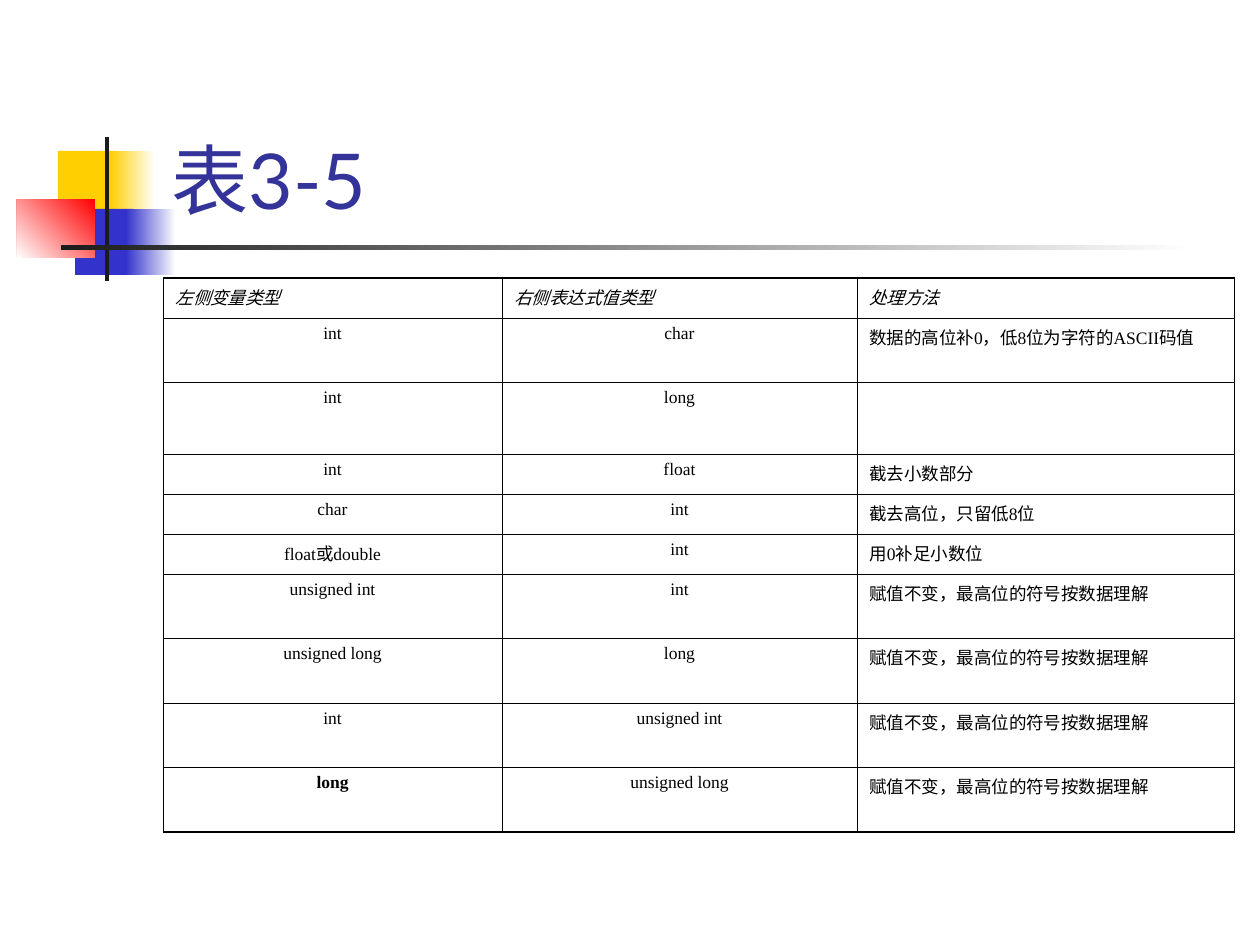
from dataclasses import dataclass

from lxml import etree
from pptx import Presentation
from pptx import util as u
from pptx.dml.color import RGBColor
from pptx.enum import shapes, text
from pptx.oxml import ns

EMU_PER_PX = 914400 / 126


@dataclass(frozen=True)
class Theme:
    yellow: str = "FFCF01"
    blue: str = "3333CC"
    red: str = "FF0000"
    dark: str = "1C1C1C"
    white: str = "FFFFFF"
    ink: str = "000000"
    title: str = "333399"
    title_font: str = "Lato"
    table_font: str = "Times New Roman"
    title_size: int = 44
    table_size: int = 10
    thin: float = 0.34
    medium: float = 0.45
    thick: float = 0.96


THEME = Theme()
HEADER = ("左侧变量类型", "右侧表达式值类型", "处理方法")
UNCHANGED = "赋值不变，最高位的符号按数据理解"
CONVERSIONS = (
    ("int", "char", "数据的高位补0，低8位为字符的ASCII码值"),
    ("int", "long", ""),
    ("int", "float", "截去小数部分"),
    ("char", "int", "截去高位，只留低8位"),
    ("float或double", "int", "用0补足小数位"),
    ("unsigned int", "int", UNCHANGED),
    ("unsigned long", "long", UNCHANGED),
    ("int", "unsigned int", UNCHANGED),
    ("long", "unsigned long", UNCHANGED),
)
COLUMN_WIDTHS = (339, 355, 377)
ROW_HEIGHTS = (40, 64, 72, 40, 40, 40, 64, 65, 64, 65)


def px(length):
    return u.Emu(round(length * EMU_PER_PX))


def write(frame, content, *, font, size, color, align=text.PP_ALIGN.LEFT,
          bold=False, italic=False, hanging=0):
    paragraph = frame.paragraphs[0]
    paragraph.alignment = align
    if hanging:
        properties = paragraph._p.get_or_add_pPr()
        properties.set("marL", str(px(hanging)))
        properties.set("indent", str(-px(hanging)))
    run = paragraph.add_run()
    run.text = content
    run.font.name = font
    run.font.size = u.Pt(size)
    run.font.bold = bold
    run.font.italic = italic
    run.font.color.rgb = RGBColor.from_string(color)


def add_block(slide, box, color, fade_to=None, angle=0):
    block = slide.shapes.add_shape(shapes.MSO_SHAPE.RECTANGLE, *map(px, box))
    block.shadow.inherit = False
    block.line.fill.background()
    if fade_to is None:
        block.fill.solid()
        block.fill.fore_color.rgb = RGBColor.from_string(color)
        return
    block.fill.gradient()
    block.fill.gradient_angle = angle
    for stop, position, shade in zip(block.fill.gradient_stops, (0, 1), (color, fade_to)):
        stop.position = position
        stop.color.rgb = RGBColor.from_string(shade)


def add_emblem(slide, left, top, width, height):
    blocks = (
        ((41, 14, 60, 66), THEME.yellow),
        ((93, 14, 45, 66), THEME.white, THEME.yellow, 180),
        ((58, 72, 58, 66), THEME.blue),
        ((109, 72, 50, 66), THEME.white, THEME.blue, 180),
        ((0, 62, 78, 59), THEME.red, THEME.white, 225),
        ((88, 0, 4, height), THEME.dark),
        ((44, 108, width - 44, 5), THEME.white, THEME.dark, 180),
    )
    for (x, y, w, h), *paint in blocks:
        add_block(slide, (left + x, top + y, w, h), *paint)


def place_title(slide, left, top, width, height):
    title = slide.shapes.title
    title.element.getparent().append(title.element)
    title.left, title.top, title.width, title.height = map(px, (left, top, width, height))
    title.text_frame.word_wrap = True
    title.text_frame.vertical_anchor = text.MSO_ANCHOR.BOTTOM
    write(title.text_frame, "表3-5", font=THEME.title_font,
          size=THEME.title_size, color=THEME.title)


def set_borders(cell, **widths):
    properties = cell._tc.get_or_add_tcPr()
    for index, side in enumerate(("lnL", "lnR", "lnT", "lnB")):
        line = etree.Element(ns.qn(f"a:{side}"), w=str(u.Pt(widths[side])))
        fill = etree.SubElement(line, ns.qn("a:solidFill"))
        etree.SubElement(fill, ns.qn("a:srgbClr"), val=THEME.ink)
        properties.insert(index, line)


def add_conversion_table(slide, left, top):
    rows = (HEADER, *CONVERSIONS)
    last = len(rows) - 1
    frame = slide.shapes.add_table(
        len(rows), len(HEADER),
        *map(px, (left, top, sum(COLUMN_WIDTHS), sum(ROW_HEIGHTS))))
    table = frame.table
    table.first_row = table.horz_banding = False
    for column, width in zip(table.columns, COLUMN_WIDTHS):
        column.width = px(width)
    for row, height in zip(table.rows, ROW_HEIGHTS):
        row.height = px(height)

    across = [THEME.thin] * (len(rows) + 1)
    across[0] = across[-1] = THEME.thick
    across[1] = across[-2] = THEME.medium
    down = (THEME.thin, THEME.medium, THEME.thin, THEME.thin)

    for r, row in enumerate(rows):
        for c, content in enumerate(row):
            cell = table.cell(r, c)
            cell.fill.background()
            set_borders(cell, lnL=down[c], lnR=down[c + 1], lnT=across[r], lnB=across[r + 1])
            if content:
                is_type = r > 0 and c < 2
                write(cell.text_frame, content, font=THEME.table_font,
                      size=THEME.table_size, color=THEME.ink, hanging=48,
                      align=text.PP_ALIGN.CENTER if is_type else text.PP_ALIGN.LEFT,
                      bold=(r, c) == (last, 0), italic=r == 0)


def main():
    deck = Presentation()
    deck.slide_width, deck.slide_height = px(1260), px(945)
    slide = deck.slides.add_slide(deck.slide_layouts.get_by_name("Title Only"))
    add_emblem(slide, 17, 137, 1178, 144)
    place_title(slide, 159, 29, 1074, 202)
    add_conversion_table(slide, 163, 278)
    deck.save("out.pptx")


if __name__ == "__main__":
    main()
